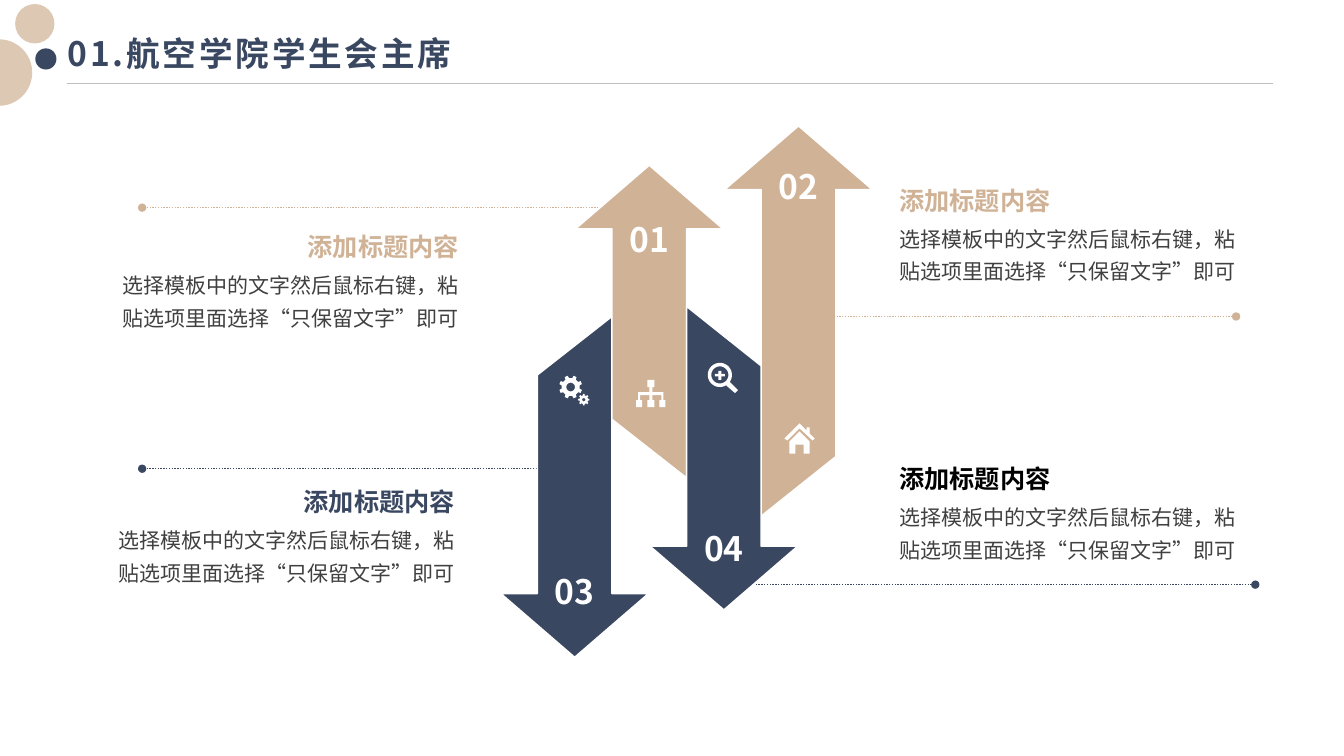
from math import cos, radians, sin

from lxml.etree import SubElement
from pptx import Presentation
from pptx.dml.color import RGBColor
from pptx.enum.dml import MSO_LINE
from pptx.enum.shapes import MSO_CONNECTOR, MSO_SHAPE
from pptx.enum.text import MSO_ANCHOR, PP_ALIGN
from pptx.oxml.ns import qn
from pptx.util import Inches, Pt

TAN = RGBColor(0xD0, 0xB2, 0x96)
NAVY = RGBColor(0x39, 0x47, 0x61)
GREY = RGBColor(0x40, 0x40, 0x40)
RULE_GREY = RGBColor(0xBF, 0xBF, 0xBF)
BLACK = RGBColor(0, 0, 0)
WHITE = RGBColor(0xFF, 0xFF, 0xFF)
FONT = "Noto Sans CJK SC"

TITLE = "01.航空学院学生会主席"
HEADING = "添加标题内容"
BODY = "选择模板中的文字然后鼠标右键，粘贴选项里面选择“只保留文字”即可"

# left, top, diameter, colour, opacity in percent
DOTS = [
    (0.15, 0.04, 0.39, TAN, 71),
    (-0.34, 0.39, 0.66, TAN, 71),
    (0.35, 0.48, 0.21, NAVY, 100),
]
# start x, end x, y, colour
LEADERS = [
    (6.08, 1.41, 2.06, TAN),
    (5.61, 1.41, 4.65, NAVY),
    (12.26, 8.05, 3.14, TAN),
    (12.45, 7.3, 5.8, NAVY),
]
# number, column, tip y, direction to shaft, left shaft end, right shaft end, number top, colour
ARROWS = [
    ("03", 0, 6.52, -1, 3.72, 3.14, 5.61, NAVY),
    ("01", 1, 1.64, 1, 4.16, 4.74, 2.12, TAN),
    ("02", 3, 1.25, 1, 5.12, 4.53, 1.6, TAN),
    ("04", 2, 6.05, -1, 3.04, 3.63, 5.19, NAVY),
]
FIRST_TIP, COLUMN_STEP = 5.7, 0.74
HEAD_HALF, SHAFT_HALF, HEAD_HEIGHT = 0.73, 0.37, 0.63

# left, top, body width, alignment, heading colour
CALLOUTS = [
    (0.99, 2.25, 3.66, PP_ALIGN.RIGHT, TAN),
    (0.89, 4.78, 3.72, PP_ALIGN.RIGHT, NAVY),
    (8.82, 1.79, 3.57, PP_ALIGN.LEFT, TAN),
    (8.82, 4.55, 3.62, PP_ALIGN.LEFT, BLACK),
]
HEADING_WIDTH, BODY_DROP = 1.8, 0.33


def arc(x, y, radius, start=0, end=350):
    """Points along a circle, angles in degrees, clockwise from the right."""
    steps = 35
    angles = [radians(start + (end - start) * i / steps) for i in range(steps + 1)]
    return [(x + radius * cos(a), y + radius * sin(a)) for a in angles]


def gear(x, y, outer, root, hole, phase):
    """Contours of an eight-toothed gear with a round hole."""
    tooth = [(-12, root), (-8, outer), (8, outer), (12, root)]
    rim = []
    for centre in range(0, 360, 45):
        for offset, radius in tooth:
            angle = radians(phase + centre + offset)
            rim.append((x + radius * cos(angle), y + radius * sin(angle)))
    return [rim, arc(x, y, hole)]


def box(left, top, right, bottom):
    return [(left, top), (right, top), (right, bottom), (left, bottom)]


def mirrored(half, axis):
    """Close a right-hand half outline with its reflection."""
    return half + [(2 * axis - x, y) for x, y in reversed(half)]


TREE_X, HOUSE_X = 6.455, 7.93
ORG_CHART = mirrored([
    (6.49, 3.77), (6.49, 3.84), (6.47, 3.84), (6.47, 3.89), (6.58, 3.89),
    (6.58, 3.97), (6.6, 3.97), (6.6, 4.04), (6.54, 4.04), (6.54, 3.97),
    (6.56, 3.97), (6.56, 3.92), (6.47, 3.92), (6.47, 3.97), (6.49, 3.97),
    (6.49, 4.04),
], TREE_X)
ROOF = [
    (8.03, 4.3), (8.03, 4.24), (8, 4.24), (8, 4.27), (7.93, 4.2), (7.78, 4.35),
    (7.81, 4.37), (7.93, 4.25), (8.06, 4.37), (8.08, 4.35),
]
WALLS = mirrored([
    (7.93, 4.28), (8.03, 4.38), (8.03, 4.5), (7.97, 4.5), (7.97, 4.41),
], HOUSE_X)
LENS_X, LENS_Y = 7.14, 3.72
LENS = arc(LENS_X, LENS_Y, 0.12, 59, 395) + [(7.32, 3.87), (7.29, 3.9)]
PLUS = mirrored([
    (7.155, 3.68), (7.155, 3.71), (7.19, 3.71), (7.19, 3.735),
    (7.155, 3.735), (7.155, 3.77),
], LENS_X)
ICONS = [
    [ORG_CHART],
    [LENS, arc(LENS_X, LENS_Y, 0.085), PLUS],
    [ROOF],
    [WALLS],
    gear(5.66, 3.84, 0.115, 0.09, 0.043, 22.5),
    gear(5.79, 3.965, 0.057, 0.043, 0.016, 0),
]


def paint(shape, colour, line=None):
    shape.shadow.inherit = False
    shape.fill.solid()
    shape.fill.fore_color.rgb = colour
    if line is None:
        shape.line.fill.background()
    else:
        shape.line.color.rgb = line
        shape.line.width = Pt(1)


def add_outline(slide, contours, colour, line=None):
    builder = None
    for contour in contours:
        points = [(Inches(x), Inches(y)) for x, y in contour]
        if builder is None:
            builder = slide.shapes.build_freeform(*points[0], scale=1.0)
        else:
            builder.move_to(*points[0])
        builder.add_line_segments(points[1:], close=True)
    paint(builder.convert_to_shape(), colour, line)


def add_line(slide, start_x, end_x, y, colour, width):
    line = slide.shapes.add_connector(
        MSO_CONNECTOR.STRAIGHT, Inches(start_x), Inches(y), Inches(end_x), Inches(y))
    line.line.color.rgb = colour
    line.line.width = Pt(width)
    SubElement(line._element.spPr, qn("a:effectLst"))
    return line


def add_text(slide, text, left, top, width, height, size, colour,
             bold=True, align=PP_ALIGN.LEFT, spacing=None):
    shape = slide.shapes.add_textbox(*map(Inches, (left, top, width, height)))
    frame = shape.text_frame
    frame.word_wrap = True
    paragraph = frame.paragraphs[0]
    paragraph.alignment = align
    paragraph.line_spacing = spacing
    run = paragraph.add_run()
    run.text = text
    run.font.color.rgb = colour
    for name, value in {"name": FONT, "size": Pt(size), "bold": bold}.items():
        setattr(run.font, name, value)
    SubElement(run._r.get_or_add_rPr(), qn("a:ea"), typeface=FONT)
    return frame


def add_header(slide):
    for left, top, diameter, colour, opacity in DOTS:
        dot = slide.shapes.add_shape(
            MSO_SHAPE.OVAL, *map(Inches, (left, top, diameter, diameter)))
        paint(dot, colour)
        if opacity < 100:
            fill_colour = dot._element.spPr.find(qn("a:solidFill"))[0]
            SubElement(fill_colour, qn("a:alpha"), val=str(opacity * 1000))
    add_line(slide, 0.66, 12.63, 0.83, RULE_GREY, 0.5)
    frame = add_text(slide, TITLE, 0.67, 0.31, 8.7, 0.48, 24, NAVY, spacing=0.9)
    frame.vertical_anchor = MSO_ANCHOR.MIDDLE
    for side in ("left", "top", "right", "bottom"):
        setattr(frame, f"margin_{side}", 0)
    frame.paragraphs[0].runs[0]._r.get_or_add_rPr().set("spc", "200")


def add_arrow(slide, number, column, tip_y, direction, left_end, right_end, number_top, colour):
    x = FIRST_TIP + column * COLUMN_STEP
    shoulder = tip_y + direction * HEAD_HEIGHT
    outline = [
        (x, tip_y), (x + HEAD_HALF, shoulder), (x + SHAFT_HALF, shoulder),
        (x + SHAFT_HALF, right_end), (x - SHAFT_HALF, left_end),
        (x - SHAFT_HALF, shoulder), (x - HEAD_HALF, shoulder),
    ]
    add_outline(slide, [outline], colour, WHITE)
    add_text(slide, number, x - 0.4, number_top, 0.8, 0.5, 24, WHITE, align=PP_ALIGN.CENTER)


def main():
    presentation = Presentation()
    presentation.slide_width, presentation.slide_height = Inches(13.33), Inches(7.5)
    slide = presentation.slides.add_slide(presentation.slide_layouts[6])
    add_header(slide)
    for leader in LEADERS:
        line = add_line(slide, *leader, width=1)
        line.line.dash_style = MSO_LINE.ROUND_DOT
        for end in ("a:headEnd", "a:tailEnd"):
            SubElement(line.line._get_or_add_ln(), qn(end), type="oval")
    for arrow in ARROWS:
        add_arrow(slide, *arrow)
    for left, top, width, align, colour in CALLOUTS:
        heading_left = left + width - HEADING_WIDTH if align == PP_ALIGN.RIGHT else left
        add_text(slide, HEADING, heading_left, top, HEADING_WIDTH, 0.4, 18, colour, align=align)
        add_text(slide, BODY, left, top + BODY_DROP, width, 0.72, 15, GREY,
                 bold=False, align=align, spacing=1.3)
    for contours in ICONS:
        add_outline(slide, contours, WHITE)
    presentation.save("out.pptx")


if __name__ == "__main__":
    main()
